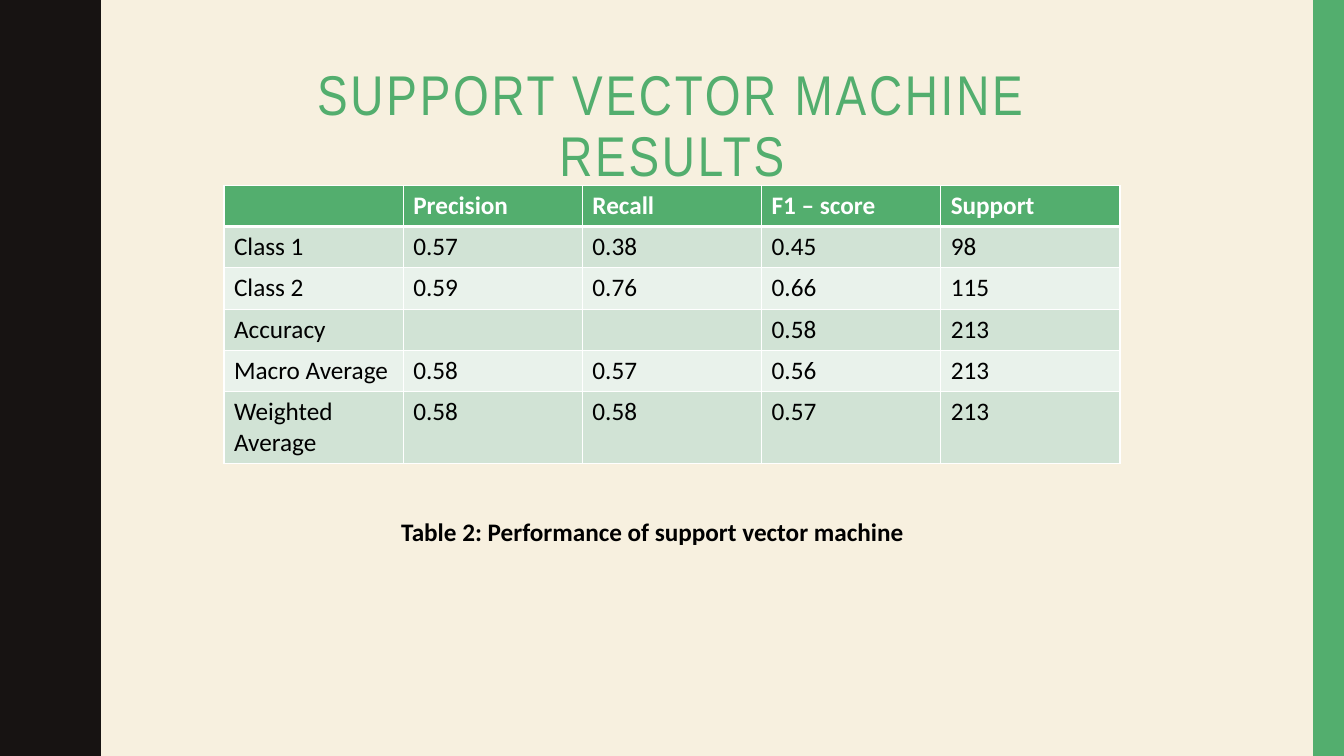
"""Build the slide with the support vector machine results."""
from dataclasses import dataclass

from lxml.etree import SubElement
from pptx import Presentation
from pptx.dml.color import RGBColor
from pptx.enum.shapes import MSO_SHAPE
from pptx.enum.text import MSO_ANCHOR, PP_ALIGN
from pptx.oxml.ns import qn
from pptx.util import Inches, Pt

WIDTH, HEIGHT = Inches(13.33), Inches(7.5)


@dataclass(frozen=True)
class Theme:
    """Colours, fonts and type sizes of the slide."""
    paper: str = "F7F0DF"
    ink: str = "171312"
    green: str = "53AE6E"
    bands: tuple[str, str] = ("D1E3D5", "E9F2EB")
    white: str = "FFFFFF"
    black: str = "000000"
    title_font: str = "Arial Narrow"
    body_font: str = "Calibri"
    title_size: int = 40
    body_size: int = 18


@dataclass(frozen=True)
class Box:
    """A rectangle in shares of the slide's width and height."""
    x: float
    y: float
    w: float
    h: float

    def emu(self) -> tuple[int, int, int, int]:
        """Return left, top, width and height in EMU."""
        return (round(self.x * WIDTH), round(self.y * HEIGHT),
                round(self.w * WIDTH), round(self.h * HEIGHT))


@dataclass(frozen=True)
class Score:
    """One row of the results table."""
    label: str
    precision: str
    recall: str
    f1: str
    support: str

    def cells(self) -> tuple[str, ...]:
        """Return the row's texts from left to right."""
        return self.label, self.precision, self.recall, self.f1, self.support


THEME = Theme()
TITLE_BOX = Box(0.159, 0.076, 0.682, 0.148)
TABLE_BOX = Box(1 / 6, 0.245, 2 / 3, 0.363)
CAPTION_BOX = Box(0.185, 0.677, 0.601, 0.053)
STRIPE_BOX = Box(0.977, 0, 0.023, 1)
ROW_HEIGHT = Inches(0.41)
WAVES, WAVE_LENGTH = 5, 1.5
HALF_WAVE = [(0.78, 0), (0.78, 0.07), (0.79, 0.14), (0.8, 0.2), (0.81, 0.25),
             (0.83, 0.29), (0.85, 0.33), (0.87, 0.38), (0.89, 0.42), (0.91, 0.46),
             (0.93, 0.5), (0.95, 0.55), (0.96, 0.61), (0.97, 0.68), (0.97, 0.75)]
SCORES = [
    Score("", "Precision", "Recall", "F1 – score", "Support"),
    Score("Class 1", "0.57", "0.38", "0.45", "98"),
    Score("Class 2", "0.59", "0.76", "0.66", "115"),
    Score("Accuracy", "", "", "0.58", "213"),
    Score("Macro Average", "0.58", "0.57", "0.56", "213"),
    Score("Weighted Average", "0.58", "0.58", "0.57", "213"),
]


def rgb(value: str) -> RGBColor:
    """Turn a hex string into a colour."""
    return RGBColor.from_string(value)


def paint(sp, color: str) -> None:
    """Fill a shape flatly, without line or shadow."""
    sp.shadow.inherit = False
    sp.fill.solid()
    sp.fill.fore_color.rgb = rgb(color)
    sp.line.fill.background()


def add_run(p, text: str, font: str, size: int, color: str, bold: bool = False):
    """Append a formatted run to a paragraph."""
    r = p.add_run()
    r.text = text
    r.font.name, r.font.size, r.font.bold = font, Pt(size), bold
    r.font.color.rgb = rgb(color)
    return r


def add_wave(s) -> None:
    """Draw the dark band with the wavy right edge."""
    wave = HALF_WAVE + [(x, WAVE_LENGTH - y) for x, y in HALF_WAVE[-2::-1]]
    edge = [(x, y + i * WAVE_LENGTH) for i in range(WAVES) for x, y in wave]
    fb = s.shapes.build_freeform(0, 0, scale=Inches(1))
    fb.add_line_segments(edge + [(0, WAVES * WAVE_LENGTH)], close=True)
    paint(fb.convert_to_shape(), THEME.ink)


def add_title(s, text: str) -> None:
    """Place and format the title."""
    sp = s.shapes.title
    sp.left, sp.top, sp.width, sp.height = TITLE_BOX.emu()
    tf = sp.text_frame
    tf.word_wrap, tf.vertical_anchor = True, MSO_ANCHOR.TOP
    tf.margin_left = tf.margin_right = tf.margin_top = tf.margin_bottom = Inches(0.1)
    p = tf.paragraphs[0]
    p.alignment, p.line_spacing = PP_ALIGN.CENTER, 0.9
    r = add_run(p, text, THEME.title_font, THEME.title_size, THEME.green)
    r.font._element.set("spc", "200")


def add_borders(cell, top: int, bottom: int) -> None:
    """Give a cell white borders, with widths in points."""
    tc_pr = cell._tc.get_or_add_tcPr()
    for i, (side, width) in enumerate(zip("LRTB", (1, 1, top, bottom))):
        ln = SubElement(tc_pr, qn(f"a:ln{side}"), w=str(Pt(width)))
        SubElement(SubElement(ln, qn("a:solidFill")), qn("a:srgbClr"), val=THEME.white)
        tc_pr.insert(i, ln)


def add_scores(s, scores: list[Score]) -> None:
    """Draw the results table with a header and banded rows."""
    table = s.shapes.add_table(len(scores), len(scores[0].cells()), *TABLE_BOX.emu()).table
    table.horz_banding = False
    for i, score in enumerate(scores):
        header = i == 0
        table.rows[i].height = ROW_HEIGHT
        for j, text in enumerate(score.cells()):
            cell = table.cell(i, j)
            cell.fill.solid()
            cell.fill.fore_color.rgb = rgb(THEME.green if header else THEME.bands[(i - 1) % 2])
            add_borders(cell, 3 if i == 1 else 1, 3 if header else 1)
            p = cell.text_frame.paragraphs[0]
            p.font.size = Pt(THEME.body_size)
            if text:
                add_run(p, text, THEME.body_font, THEME.body_size,
                        THEME.white if header else THEME.black, header)


def add_caption(s, text: str) -> None:
    """Write the caption below the table."""
    tf = s.shapes.add_textbox(*CAPTION_BOX.emu()).text_frame
    tf.word_wrap = True
    p = tf.paragraphs[0]
    p.alignment = PP_ALIGN.CENTER
    add_run(p, text, THEME.body_font, THEME.body_size, THEME.black, True)


def main() -> None:
    """Build and save the presentation."""
    prs = Presentation()
    prs.slide_width, prs.slide_height = WIDTH, HEIGHT
    s = prs.slides.add_slide(prs.slide_layouts[5])
    s.background.fill.solid()
    s.background.fill.fore_color.rgb = rgb(THEME.paper)
    add_wave(s)
    paint(s.shapes.add_shape(MSO_SHAPE.RECTANGLE, *STRIPE_BOX.emu()), THEME.green)
    add_title(s, "SUPPORT VECTOR MACHINE RESULTS")
    add_scores(s, SCORES)
    add_caption(s, "Table 2: Performance of support vector machine")
    prs.save("out.pptx")


if __name__ == "__main__":
    main()
